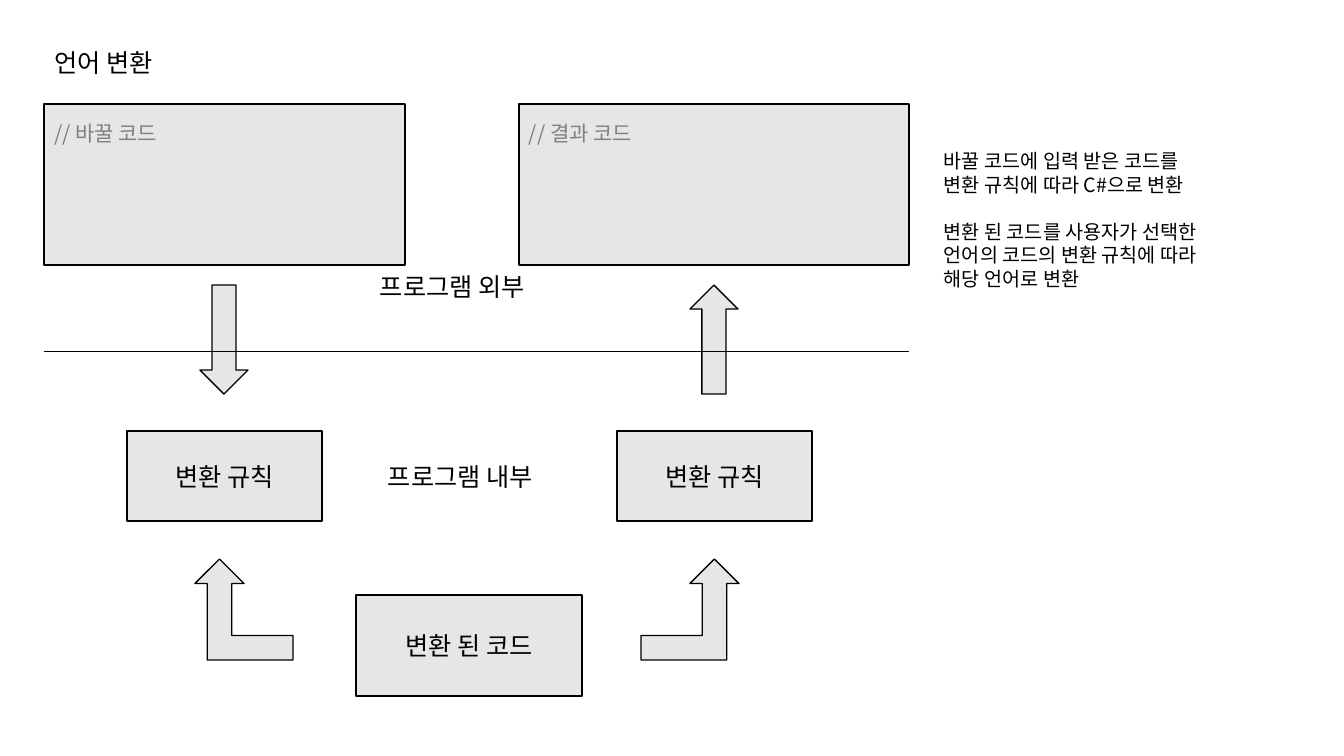
from lxml import etree
from pptx import Presentation
from pptx import util as u
from pptx.dml.color import RGBColor
from pptx.enum import shapes, text
from pptx.oxml import ns

PX = 914400 / 100.8
FONT = "Noto Sans CJK KR"
BLACK, GREY, PANEL = "000000", "808080", "E7E6E6"
KIND = shapes.MSO_SHAPE


def px(*lengths):
    """Turn pixel lengths into EMU."""
    return [u.Emu(round(length * PX)) for length in lengths]


def paint(color_format, hex_color):
    """Set a colour from a hex string."""
    color_format.rgb = RGBColor.from_string(hex_color)


def write(frame, words, size=18, color=BLACK, align=text.PP_ALIGN.LEFT,
          anchor=text.MSO_ANCHOR.TOP, wrap=False, margins=(10, 5)):
    """Fill a text frame and format every paragraph alike."""
    frame.text = words
    frame.auto_size = text.MSO_AUTO_SIZE.NONE
    frame.word_wrap = wrap
    frame.vertical_anchor = anchor
    side, edge = px(*margins)
    frame.margin_left = frame.margin_right = side
    frame.margin_top = frame.margin_bottom = edge
    for paragraph in frame.paragraphs:
        paragraph.alignment = align
        paragraph.line_spacing = u.Pt(size * 1.2)
        for run in paragraph.runs:
            run.font.size = u.Pt(size)
            run.font.name = FONT
            paint(run.font.color, color)
            etree.SubElement(run.font._element, ns.qn("a:ea"), typeface=FONT)


def add_label(slide, box, words, **style):
    """Add plain text and return its frame."""
    frame = slide.shapes.add_textbox(*px(*box)).text_frame
    write(frame, words, **style)
    return frame


def add_block(slide, box, kind=KIND.RECTANGLE):
    """Add a grey shape with a thin black outline."""
    block = slide.shapes.add_shape(kind, *px(*box))
    block.shadow.inherit = False
    block.fill.solid()
    paint(block.fill.fore_color, PANEL)
    paint(block.line.color, BLACK)
    block.line.width = u.Pt(1)
    return block


def add_step(slide, box, words):
    """Add a block with centred wording."""
    write(add_block(slide, box).text_frame, words, align=text.PP_ALIGN.CENTER,
          anchor=text.MSO_ANCHOR.MIDDLE, wrap=True)


def add_boundary(slide, left, top, width):
    """Draw the line between the outside and the inside of the program."""
    boundary = slide.shapes.add_connector(
        shapes.MSO_CONNECTOR.STRAIGHT, *px(left, top, left + width, top))
    paint(boundary.line.color, BLACK)
    boundary.line.width = u.Pt(0.5)
    etree.SubElement(boundary._element.spPr, ns.qn("a:effectLst"))


def add_heading(slide, box):
    """Place the slide title."""
    title = slide.shapes.title
    title.left, title.top, title.width, title.height = px(*box)
    write(title.text_frame, "언어 변환")


def add_outside(slide, box):
    """Show the source and result code with the arrows between the zones."""
    left, top, width, height = box
    for x, code_width, words in ((0, 361, "// 바꿀 코드"), (475, 390, "// 결과 코드")):
        code = add_block(slide, (left + x, top, code_width, 161))
        write(code.text_frame, words, size=15, color=GREY, wrap=True, margins=(10, 16))
    add_label(slide, (left + 326, top + 162, 182, 40), "프로그램 외부")
    for x, kind in ((156, KIND.DOWN_ARROW), (646, KIND.UP_ARROW)):
        add_block(slide, (left + x, top + 181, 48, 109), kind)
    add_boundary(slide, left, top + height, width)


def add_inside(slide, box):
    """Show the conversion rules fed from the converted code."""
    left, top, _, _ = box
    for x in (83, 573):
        add_step(slide, (left + x, top + 80, 195, 90), "변환 규칙")
    add_label(slide, (left + 334, top + 105, 182, 40), "프로그램 내부")
    add_step(slide, (left + 312, top + 244, 226, 101), "변환 된 코드")
    for x, mirrored in ((151, True), (597, False)):
        bend = add_block(slide, (left + x, top + 208, 98, 101), KIND.BENT_UP_ARROW)
        if mirrored:
            bend._element.spPr.xfrm.set("flipH", "1")


def add_explanation(slide, box):
    """Describe the two conversions, one group of lines each."""
    lines = ("바꿀 코드에 입력 받은 코드를", "변환 규칙에 따라 C#으로 변환",
             "변환 된 코드를 사용자가 선택한", "언어의 코드의 변환 규칙에 따라",
             "해당 언어로 변환")
    frame = add_label(slide, box, "\n".join(lines), size=14)
    frame.paragraphs[2].space_before = u.Pt(16.8)


deck = Presentation()
deck.slide_width, deck.slide_height = px(1344, 756)
conversion = deck.slides.add_slide(deck.slide_layouts[5])
add_heading(conversion, (44, 42, 131, 40))
add_outside(conversion, (44, 104, 865, 247))
add_inside(conversion, (44, 351, 865, 345))
add_explanation(conversion, (934, 144, 305, 152))
deck.save("out.pptx")
